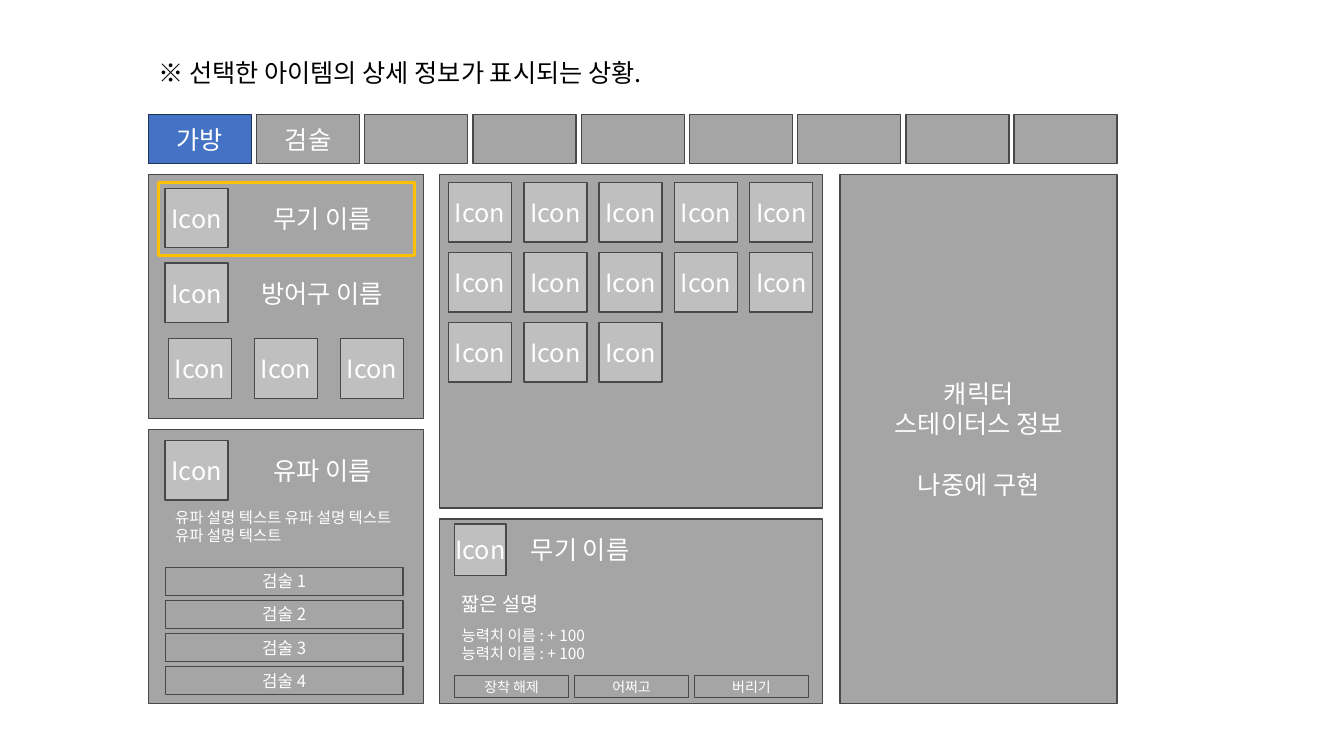
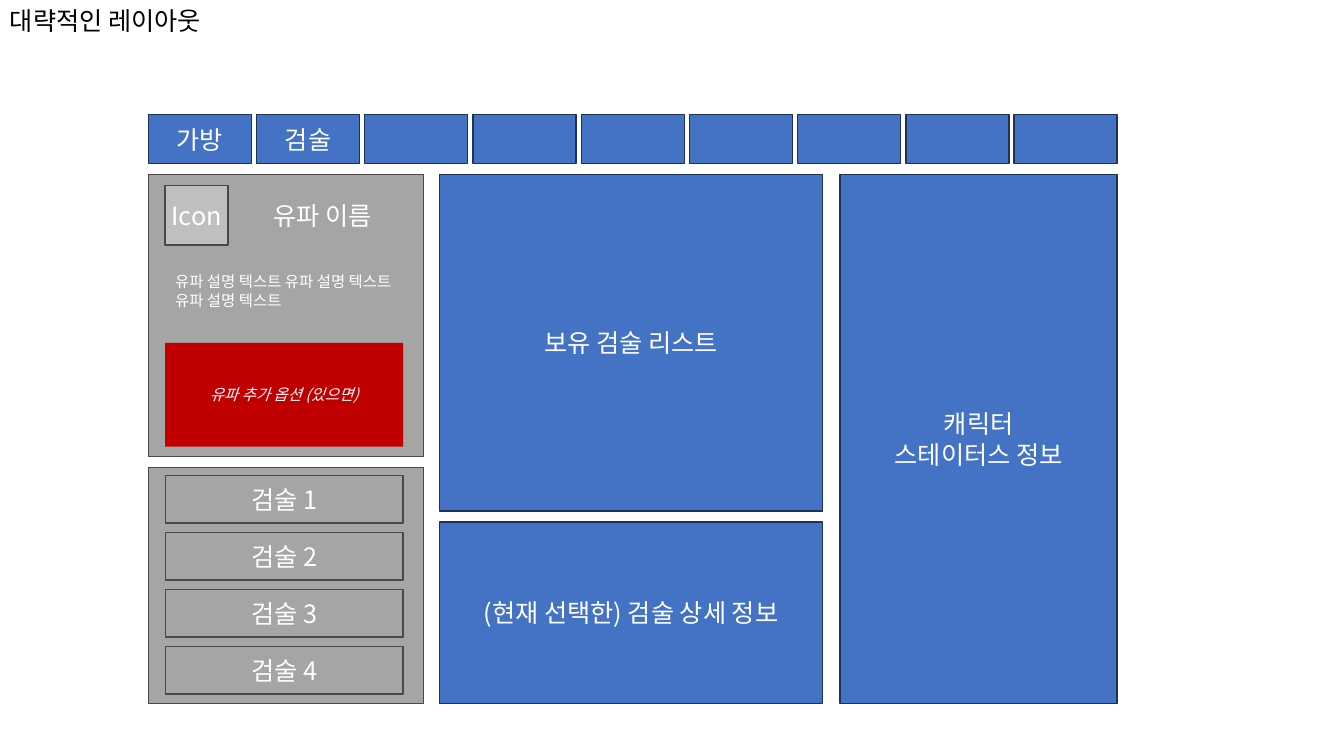
import dataclasses

import lxml.etree
import pptx
import pptx.dml.color
import pptx.enum.shapes
import pptx.enum.text
import pptx.oxml.ns
import pptx.util

Pt = pptx.util.Pt
ALIGN = pptx.enum.text.PP_ALIGN
ANCHOR = pptx.enum.text.MSO_ANCHOR
RECTANGLE = pptx.enum.shapes.MSO_SHAPE.RECTANGLE


@dataclasses.dataclass(frozen=True)
class Theme:
    font: str = "Noto Sans CJK KR"
    white: str = "FFFFFF"
    black: str = "000000"
    blue: str = "4472C4"
    blue_line: str = "1E3256"
    gray: str = "A5A5A5"
    gray_line: str = "484848"
    icon: str = "BFBFBF"
    highlight: str = "FFC000"
    option: str = "C00000"
    body: float = 18
    short: float = 14
    skill: float = 12
    detail: float = 11
    action: float = 10


THEME = Theme()
GRAY = {"fill": THEME.gray, "line": THEME.gray_line}
BLUE = {"fill": THEME.blue, "line": THEME.blue_line}
ICON = {"fill": THEME.icon, "line": THEME.gray_line}
PLAIN = {"fill": THEME.gray}

LEFT_COLUMN = (106, 196.5)
MIDDLE_COLUMN = (314, 273.5)
RIGHT_COLUMN = (600, 198)
PANEL_TOP, PANEL_BOTTOM, PANEL_GAP = 124.5, 502.5, 8
INNER_LEFT, INNER_WIDTH = 118, 170
ICON_SIZE = (45, 42.5)


def color(value):
    return pptx.dml.color.RGBColor.from_string(value)


def apply(target, values):
    for name, value in values.items():
        setattr(target, name, value)


def write(shape, lines, size=THEME.body, ink=THEME.white, align=ALIGN.CENTER,
          italic=None, frame=None, last_gap=0):
    text_frame = shape.text_frame
    apply(text_frame, {"word_wrap": True, "vertical_anchor": ANCHOR.MIDDLE, **(frame or {})})
    for index, line in enumerate(lines):
        paragraph = text_frame.paragraphs[0] if index == 0 else text_frame.add_paragraph()
        paragraph.alignment = align
        run = paragraph.add_run()
        run.text = line
        apply(run.font, {"name": THEME.font, "size": Pt(size), "italic": italic})
        run.font.color.rgb = color(ink)
        east_asian = lxml.etree.SubElement(run.font._element, pptx.oxml.ns.qn("a:ea"))
        east_asian.set("typeface", THEME.font)
    if last_gap:
        paragraph.space_before = Pt(last_gap)


def add_box(shapes, left, top, width, height, lines=(), fill=None, line=None,
            weight=1, **text):
    shape = shapes.add_shape(RECTANGLE, Pt(left), Pt(top), Pt(width), Pt(height))
    shape.shadow.inherit = False
    if fill:
        shape.fill.solid()
        shape.fill.fore_color.rgb = color(fill)
    else:
        shape.fill.background()
    if line:
        shape.line.color.rgb = color(line)
        shape.line.width = Pt(weight)
    else:
        shape.line.fill.background()
    if lines:
        write(shape, lines, **text)


def add_text(shapes, left, top, width, height, lines, **text):
    shape = shapes.add_textbox(Pt(left), Pt(top), Pt(width), Pt(height))
    write(shape, lines, **text)


def add_title(shapes, left, top, width, title):
    frame = {"vertical_anchor": ANCHOR.TOP,
             "auto_size": pptx.enum.text.MSO_AUTO_SIZE.SHAPE_TO_FIT_TEXT}
    add_text(shapes, left, top, width, 29, [title], ink=THEME.black,
             align=ALIGN.LEFT, frame=frame)


def add_icon(shapes, left, top, size=ICON_SIZE):
    add_box(shapes, left, top, *size, ["Icon"], **ICON, frame={"word_wrap": False})


def add_named_icon(shapes, top, name):
    add_icon(shapes, INNER_LEFT, top)
    add_box(shapes, 169, top, 122.5, ICON_SIZE[1], [name], **PLAIN)


def add_tabs(shapes, other_style):
    group = shapes.add_group_shape()
    for index in range(9):
        names = ["가방", "검술"][index:index + 1]
        style = BLUE if index == 0 else other_style
        add_box(group.shapes, LEFT_COLUMN[0] + 77.3 * index, 82, 73.6, 34.8, names, **style)


def add_panels(shapes, column, upper_height, style, upper=(), lower=()):
    left, width = column
    lower_top = PANEL_TOP + upper_height + PANEL_GAP
    add_box(shapes, left, PANEL_TOP, width, upper_height, upper, **style)
    add_box(shapes, left, lower_top, width, PANEL_BOTTOM - lower_top, lower, **style)


def add_status(shapes, lines, style, last_gap=0):
    left, width = RIGHT_COLUMN
    add_box(shapes, left, PANEL_TOP, width, PANEL_BOTTOM - PANEL_TOP, lines,
            **style, last_gap=last_gap)


def add_school(shapes, icon_top, description_top):
    add_named_icon(shapes, icon_top, "유파 이름")
    add_box(shapes, INNER_LEFT, description_top, INNER_WIDTH, 34.5,
            ["유파 설명 텍스트 유파 설명 텍스트 유파 설명 텍스트"], **PLAIN,
            size=THEME.detail, align=ALIGN.LEFT, frame={"margin_bottom": Pt(16)})


def add_skills(shapes, top, step, height, size):
    for index in range(4):
        add_box(shapes, INNER_LEFT, top + step * index, INNER_WIDTH, height,
                [f"검술 {index + 1}"], **GRAY, size=size)


def add_equipment(shapes):
    for index in range(3):
        add_icon(shapes, 120.3 + 61.5 * index, 242)
    add_named_icon(shapes, 134.5, "무기 이름")
    add_named_icon(shapes, 188, "방어구 이름")
    add_box(shapes, 113, 130.3, 183, 52, line=THEME.highlight, weight=2.25)


def add_inventory(shapes):
    for index in range(13):
        row, column = divmod(index, 5)
        add_icon(shapes, 320.4 + 53.8 * column, 130.3 + 50.1 * row)


def add_item_detail(shapes):
    add_icon(shapes, 324.7, 374.4, (36.7, 36.7))
    add_text(shapes, 372.2, 378.7, 115, 27.4, ["무기 이름"], align=ALIGN.LEFT)
    add_text(shapes, 322.6, 442.8, 255.6, 34.6, ["능력치 이름 : + 100"] * 2,
             size=THEME.detail, align=ALIGN.JUSTIFY)
    add_text(shapes, 322.6, 414, 254, 33.8, ["짧은 설명"],
             size=THEME.short, align=ALIGN.JUSTIFY)
    for index, action in enumerate(["장착 해제", "어쩌고", "버리기"]):
        add_box(shapes, 324.7 + 85.7 * index, 482.4, 81.4, 16, [action],
                **GRAY, size=THEME.action)


def build_bag(shapes):
    add_status(shapes, ["캐릭터", "스테이터스 정보", "나중에 구현"], GRAY, last_gap=21.5)
    add_panels(shapes, LEFT_COLUMN, 174.3, GRAY)
    add_panels(shapes, MIDDLE_COLUMN, 238.3, GRAY)
    add_tabs(shapes, GRAY)
    add_equipment(shapes)
    add_item_detail(shapes)
    add_inventory(shapes)
    add_title(shapes, 106, 37.4, 480, "※ 선택한 아이템의 상세 정보가 표시되는 상황.")
    add_school(shapes, 314.6, 365)
    add_skills(shapes, 405.2, 23.6, 20, THEME.skill)


def build_layout(shapes):
    add_panels(shapes, MIDDLE_COLUMN, 240.5, BLUE,
               ["보유 검술 리스트"], ["(현재 선택한) 검술 상세 정보"])
    add_tabs(shapes, BLUE)
    add_status(shapes, ["캐릭터", "스테이터스 정보"], BLUE)
    add_panels(shapes, LEFT_COLUMN, 201.6, GRAY)
    add_skills(shapes, 339.7, 40.7, 34, THEME.body)
    add_school(shapes, 132.5, 196.6)
    add_box(shapes, INNER_LEFT, 245, INNER_WIDTH, 74, ["유파 추가 옵션 (있으면)"],
            fill=THEME.option, size=THEME.detail, italic=True)
    add_title(shapes, 0, 0, 960, "대략적인 레이아웃")


def main():
    presentation = pptx.Presentation()
    apply(presentation, {"slide_width": Pt(960), "slide_height": Pt(540)})
    for build in (build_bag, build_layout):
        build(presentation.slides.add_slide(presentation.slide_layouts[6]).shapes)
    presentation.save("out.pptx")


if __name__ == "__main__":
    main()
